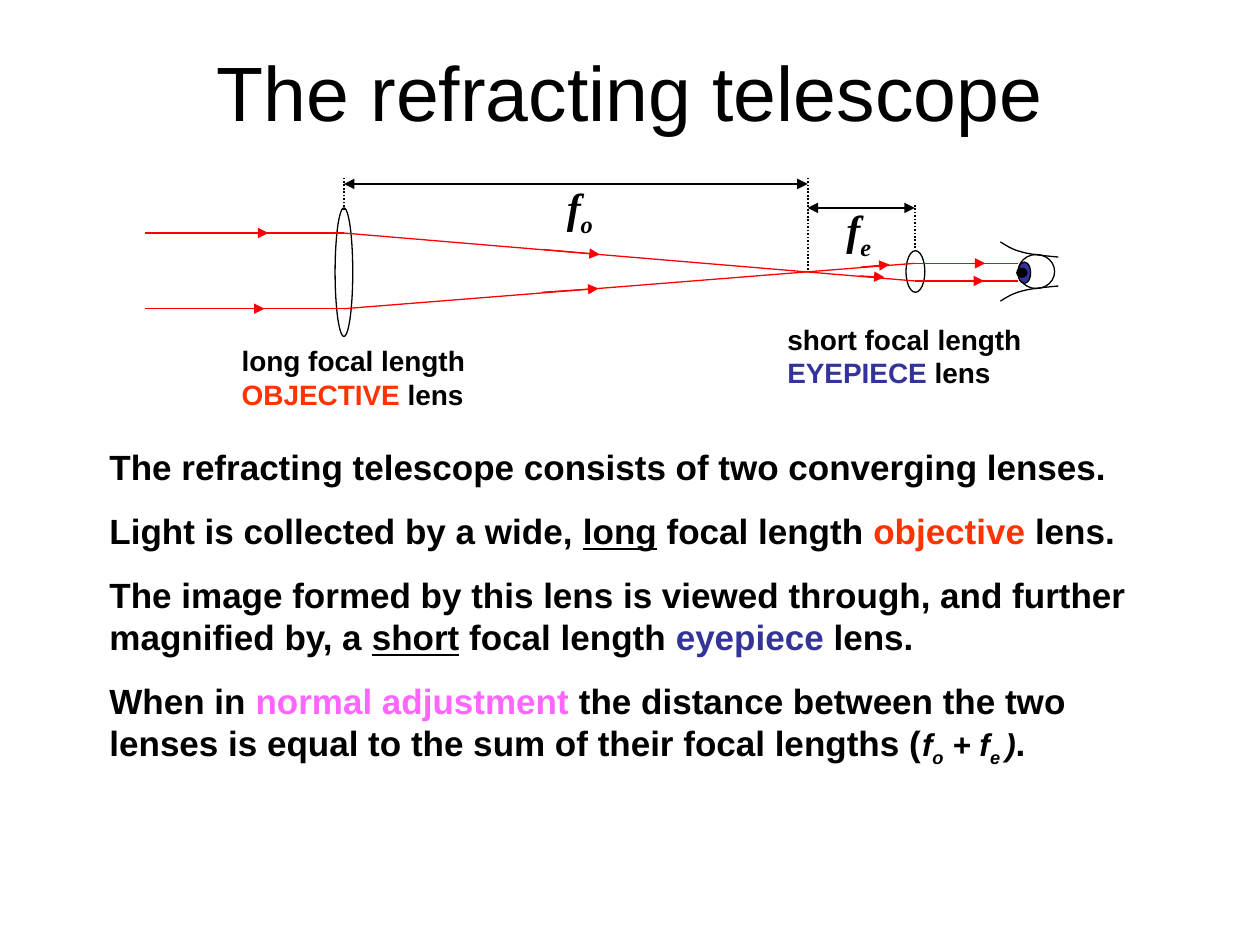
import pptx
import pptx.util
import pptx.dml.color
import pptx.enum.dml
import pptx.enum.shapes
import pptx.enum.text
import pptx.oxml.ns
from lxml import etree

Inches, Pt = pptx.util.Inches, pptx.util.Pt
BLACK, RED, ORANGE, BLUE, PINK = "000000", "FF0000", "FF3300", "333399", "FF66FF"


def rgb(color):
    return pptx.dml.color.RGBColor.from_string(color)


def add_text(s, x, y, w, h, paragraphs, size, font="Arial", bold=True,
             italic=False, space=0, align=None, anchor=None):
    """Each paragraph is a list of (text, formatting) runs."""
    tf = s.shapes.add_textbox(Inches(x), Inches(y), Inches(w), Inches(h)).text_frame
    tf.word_wrap = True
    if anchor is not None:
        tf.vertical_anchor = anchor
    for i, runs in enumerate(paragraphs):
        p = tf.paragraphs[0] if i == 0 else tf.add_paragraph()
        p.font.name, p.font.size = font, Pt(size)
        p.font.bold, p.font.italic = bold, italic
        p.font.color.rgb = rgb(BLACK)
        p.alignment = align
        p.space_before = Pt(space if i else 0)
        for text, style in runs:
            r = p.add_run()
            r.text = text
            if "color" in style:
                r.font.color.rgb = rgb(style["color"])
            if "underline" in style:
                r.font.underline = True
            if "formula" in style:
                r.font.size, r.font.italic = Pt(18), True
            if "sub" in style:
                r._r.get_or_add_rPr().set("baseline", "-25000")


def add_ellipse(s, x, y, w, h, fill="FFFFFF"):
    sp = s.shapes.add_shape(pptx.enum.shapes.MSO_SHAPE.OVAL,
                            Inches(x), Inches(y), Inches(w), Inches(h))
    sp.shadow.inherit = False
    sp.fill.solid()
    sp.fill.fore_color.rgb = rgb(fill)
    sp.line.color.rgb = rgb(BLACK)
    sp.line.width = Pt(0.75)


def add_line(s, x1, y1, x2, y2, color=BLACK, width=0.75, dotted=False, ends=()):
    c = s.shapes.add_connector(pptx.enum.shapes.MSO_CONNECTOR.STRAIGHT,
                               Inches(x1), Inches(y1), Inches(x2), Inches(y2))
    c.line.color.rgb = rgb(color)
    c.line.width = Pt(width)
    if dotted:
        c.line.dash_style = pptx.enum.dml.MSO_LINE.ROUND_DOT
    qn = pptx.oxml.ns.qn
    for end in ends:
        etree.SubElement(c.line._get_or_add_ln(), qn(f"a:{end}"), type="triangle")
    etree.SubElement(c._element.spPr, qn("a:effectLst"))


def add_curve(s, x, y, points, steps=6):
    """Trace a chain of cubic Bezier pieces."""
    traced = []
    for k in range(0, len(points) - 1, 3):
        a, b, c, d = points[k:k + 4]
        for i in range(1, steps + 1):
            t = i / steps
            u = 1 - t
            traced.append(tuple(
                Inches(o + u**3 * a[n] + 3 * u * u * t * b[n] + 3 * u * t * t * c[n] + t**3 * d[n])
                for n, o in enumerate((x, y))))
    start = points[0]
    fb = s.shapes.build_freeform(Inches(x + start[0]), Inches(y + start[1]))
    fb.add_line_segments(traced, close=False)
    sp = fb.convert_to_shape()
    sp.shadow.inherit = False
    sp.fill.background()
    sp.line.color.rgb = rgb(BLACK)
    sp.line.width = Pt(0.75)


def add_eye(s, x, y, h):
    add_ellipse(s, x + 0.14, y + 0.1, 0.29, 0.27)
    lid = [(0, 0), (0.05, 0.03), (0.09, 0.06), (0.17, 0.08),
           (0.24, 0.1), (0.35, 0.11), (0.46, 0.12)]
    add_curve(s, x, y, lid)
    add_curve(s, x, y, [(px, h - py) for px, py in lid])
    add_ellipse(s, x + 0.14, y + 0.16, 0.1, 0.17, BLUE)
    add_ellipse(s, x + 0.13, y + 0.21, 0.08, 0.07, BLACK)


def add_diagram(s, x, y):
    objective, focus, eyepiece = x + 1.58, x + 5.26, x + 6.11
    add_eye(s, x + 6.79, y + 0.52, 0.47)

    # Lenses
    add_ellipse(s, eyepiece - 0.07, y + 0.59, 0.15, 0.33)
    add_ellipse(s, objective - 0.07, y + 0.25, 0.14, 1.02)

    # Focal length guides and dimensions
    for gx, top, bottom in ((objective, 0.01, 0.27), (eyepiece, 0.22, 0.57), (focus, 0, 0.74)):
        add_line(s, gx, y + bottom, gx, y + top, width=1, dotted=True)
    for left, right, dy in ((objective, focus, 0.06), (focus, eyepiece, 0.25)):
        add_line(s, left, y + dy, right, y + dy, ends=("headEnd", "tailEnd"))
    for dx, dy, sub in ((3.25, -0.01, "o"), (5.47, 0.17, "e")):
        add_text(s, x + dx, y + dy, 0.46, 0.56, [[("f", {}), (sub, {"sub": True})]],
                 24, "Times New Roman", italic=True)

    # Lens captions
    for dx, dy, w, length, name, color in (
            (0.67, 1.28, 2.06, "long", "OBJECTIVE", ORANGE),
            (5, 1.11, 2.27, "short", "EYEPIECE", BLUE)):
        add_text(s, x + dx, y + dy, w, 0.64, [[
            (f"{length} focal length ", {}), (name, {"color": color}), (" lens", {})]], 16)

    # Light rays through both lenses
    for y_in, y_out in ((0.45, 0.83), (1.05, 0.69)):
        route = [(x, y_in), (objective, y_in), (eyepiece, y_out), (x + 6.93, y_out)]
        for (x1, y1), (x2, y2) in zip(route, route[1:]):
            add_line(s, x1, y + y1, x2, y + y2, RED)

    # Direction arrows along the rays
    add_line(s, x + 0.13, y + 0.46, x + 0.13, y + 0.46, ends=("tailEnd",))
    for x1, y1, x2, y2 in ((0.52, 0.45, 0.98, 0.45), (0.53, 1.05, 0.95, 1.05),
                           (3.16, 0.58, 3.61, 0.62), (3.15, 0.92, 3.6, 0.89),
                           (6.38, 0.69, 6.67, 0.69), (6.39, 0.83, 6.66, 0.83),
                           (5.68, 0.72, 5.91, 0.7), (5.67, 0.79, 5.87, 0.8)):
        add_line(s, x + x1, y + y1, x + x2, y + y2, RED, ends=("tailEnd",))


def add_title(s, x, y, w, h):
    add_text(s, x, y, w, h, [[("The refracting telescope", {})]], 44, bold=False,
             align=pptx.enum.text.PP_ALIGN.CENTER,
             anchor=pptx.enum.text.MSO_ANCHOR.MIDDLE)


def add_explanation(s, x, y, w, h):
    formula, sub = {"formula": True}, {"formula": True, "sub": True}
    add_text(s, x, y, w, h, [
        [("The refracting telescope consists of two converging lenses.", {})],
        [("Light is collected by a wide, ", {}), ("long", {"underline": True}),
         (" focal length ", {}), ("objective", {"color": ORANGE}), (" lens.", {})],
        [("The image formed by this lens is viewed through, and further magnified by, a ", {}),
         ("short", {"underline": True}), (" focal length ", {}),
         ("eyepiece", {"color": BLUE}), (" lens.", {})],
        [("When in ", {}), ("normal adjustment", {"color": PINK}),
         (" the distance between the two lenses is equal to the sum of their focal lengths (", {}),
         ("f", formula), ("o", sub), (" + f", formula), ("e ", sub), (")", formula), (".", {})],
    ], 20, space=12.5)


def main():
    prs = pptx.Presentation()
    prs.slide_width, prs.slide_height = Inches(10), Inches(7.5)
    s = prs.slides.add_slide(prs.slide_layouts[6])
    add_explanation(s, 0.77, 3.49, 8.62, 2.66)
    add_title(s, 0.5, 0.3, 9, 0.84)
    add_diagram(s, 1.15, 1.4)
    prs.save("out.pptx")


if __name__ == "__main__":
    main()
